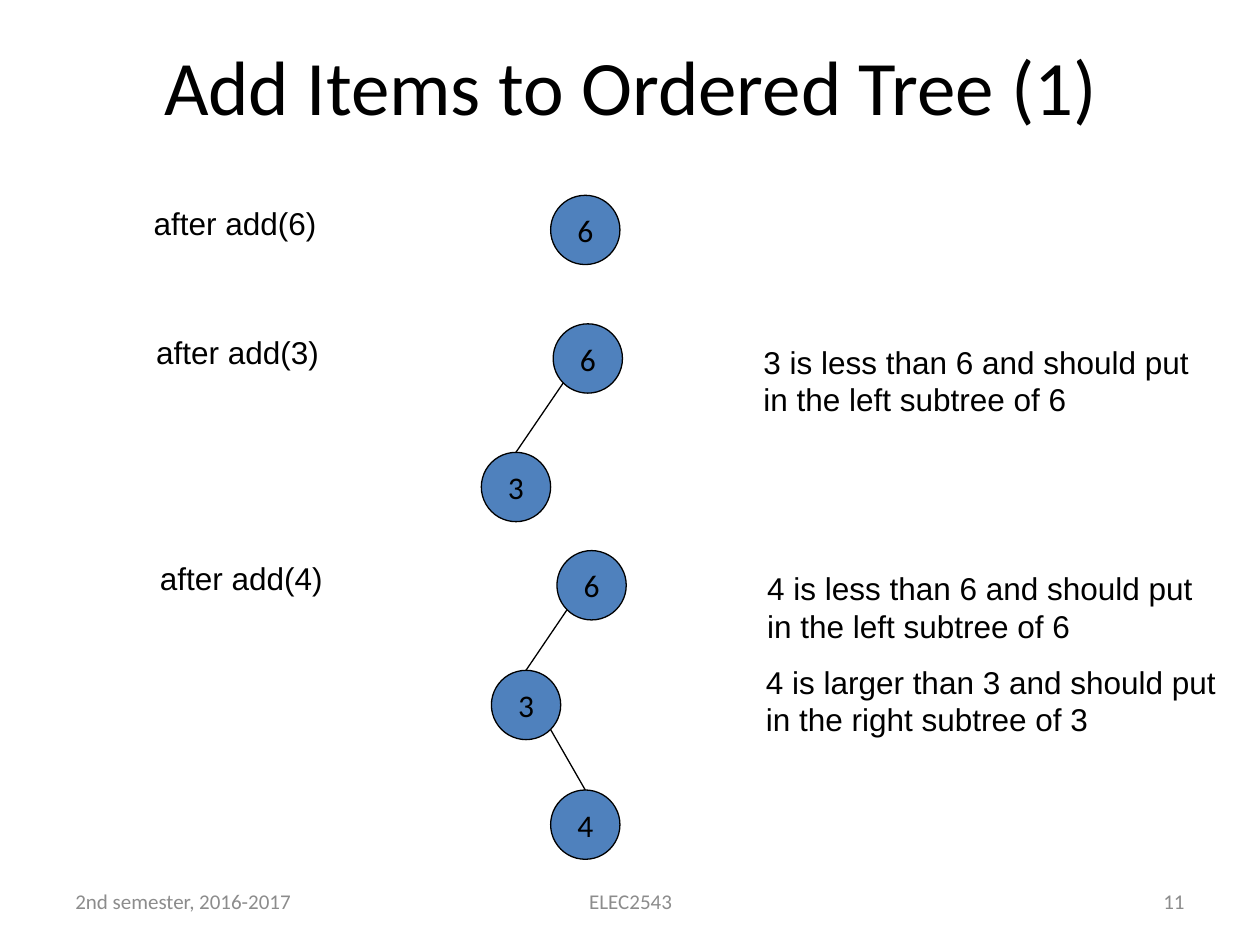
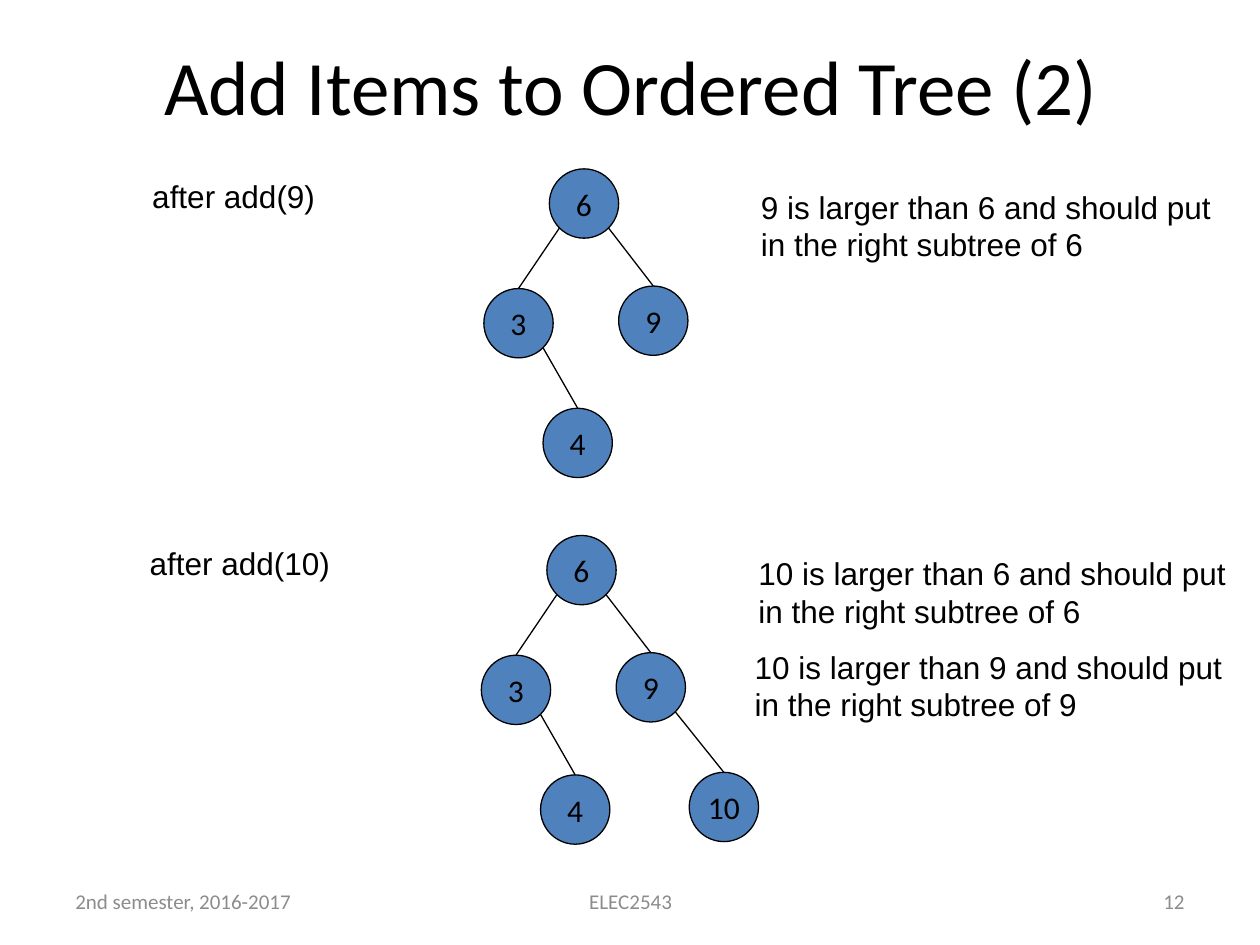
from pptx import Presentation
from pptx.dml.color import RGBColor
from pptx.enum.shapes import MSO_CONNECTOR as Link, MSO_SHAPE as Kind
from pptx.enum.text import MSO_ANCHOR as Anchor, PP_ALIGN as Align
from pptx.oxml.ns import qn
from pptx.util import Inches, Pt
from lxml.etree import SubElement

BLACK, BLUE, GRAY = "000000", "4F81BD", "8C8C8C"
SIZE = 0.55
SIDE, DROP = 0.08, 0.47

THREE = ("3", "6", -0.52, 0.95)
FOUR = ("4", "3", 0.47, 0.95)
NINE = ("9", "6", 0.55, 0.93)
TEN = ("10", "9", 0.58, 0.95)

DECK = [
    ("Add Items to Ordered Tree (1)", "11", [
        ("after add(6)", 1.49, (4.37, 1.55), [], []),
        ("after add(3)", 1.49, (4.39, 2.57), [("3", "6", -0.57, 1.02)], [
            ("3 is less than 6 and should put\nin the left subtree of 6", 1.57, 3.58)]),
        ("after add(4)", 1.49, (4.42, 4.37), [THREE, FOUR], [
            ("4 is less than 6 and should put\nin the left subtree of 6", 1.57, 3.58),
            ("4 is larger than 3 and should put\nin the right subtree of 3", 1.56, 3.77)]),
    ]),
    ("Add Items to Ordered Tree (2)", "12", [
        ("after add(9)", 1.49, (4.36, 1.34), [THREE, FOUR, NINE], [
            ("9 is larger than 6 and should put\nin the right subtree of 6", 1.58, 3.77)]),
        ("after add(10)", 1.63, (4.34, 4.25), [THREE, FOUR, NINE, TEN], [
            ("10 is larger than 6 and should put\nin the right subtree of 6", 1.58, 3.91),
            ("10 is larger than 9 and should put\nin the right subtree of 9", 1.55, 3.91)]),
    ]),
]


def color(code):
    return RGBColor.from_string(code)


def box(*nums):
    return [Inches(n) for n in nums]


def write(shape, text, size=18, font="Arial", ink=BLACK, align=Align.LEFT,
          anchor=Anchor.TOP, wrap=False):
    frame = shape.text_frame
    frame.text = text
    frame.word_wrap = wrap
    frame.vertical_anchor = anchor
    for para in frame.paragraphs:
        para.alignment = align
        face = para.runs[0].font
        face.size, face.name = Pt(size), font
        face.color.rgb = color(ink)


def stroke(shape):
    shape.line.color.rgb = color(BLACK)
    shape.line.width = Pt(0.75)


def node(slide, text, x, y):
    disc = slide.shapes.add_shape(Kind.OVAL, *box(x, y, SIZE, SIZE))
    disc.shadow.inherit = False
    disc.fill.solid()
    disc.fill.fore_color.rgb = color(BLUE)
    stroke(disc)
    write(disc, text, font="Calibri", align=Align.CENTER, anchor=Anchor.MIDDLE)


def edge(slide, top, low):
    side = SIDE if low[0] < top[0] else SIZE - SIDE
    line = slide.shapes.add_connector(Link.STRAIGHT, *box(
        top[0] + side, top[1] + DROP, low[0] + SIZE / 2, low[1]))
    stroke(line)
    SubElement(line._element.spPr, qn("a:effectLst"))


def tree(slide, label, width, root, kids, notes):
    x, y = root
    write(slide.shapes.add_textbox(*box(x - 3.25, y + 0.02, width, 0.4)), label)
    spots = {"6": root}
    node(slide, "6", x, y)
    for text, head, dx, dy in kids:
        top = spots[head]
        spots[text] = (top[0] + dx, top[1] + dy)
        node(slide, text, *spots[text])
        edge(slide, top, spots[text])
    for row, (text, dx, wide) in enumerate(notes):
        area = box(x + dx, y + 0.1 + row * 0.74, wide, 0.7)
        write(slide.shapes.add_textbox(*area), text)


def footer(slide, page):
    parts = [("2nd semester, 2016-2017", 0.5, 2.33, Align.LEFT),
             ("ELEC2543", 3.42, 3.17, Align.CENTER),
             (page, 7.17, 2.33, Align.RIGHT)]
    for text, x, width, align in parts:
        write(slide.shapes.add_textbox(*box(x, 6.95, width, 0.4)), text, size=12,
              font="Calibri", ink=GRAY, align=align, anchor=Anchor.MIDDLE, wrap=True)


deck = Presentation()
deck.slide_width, deck.slide_height = box(10, 7.5)
for name, page, trees in DECK:
    slide = deck.slides.add_slide(deck.slide_layouts[5])
    title = slide.shapes.title
    title.left, title.top, title.width, title.height = box(0.51, 0.05, 9, 1.25)
    write(title, name, size=44, font="Calibri", align=Align.CENTER,
          anchor=Anchor.MIDDLE, wrap=True)
    for item in trees:
        tree(slide, *item)
    footer(slide, page)
deck.save("out.pptx")
